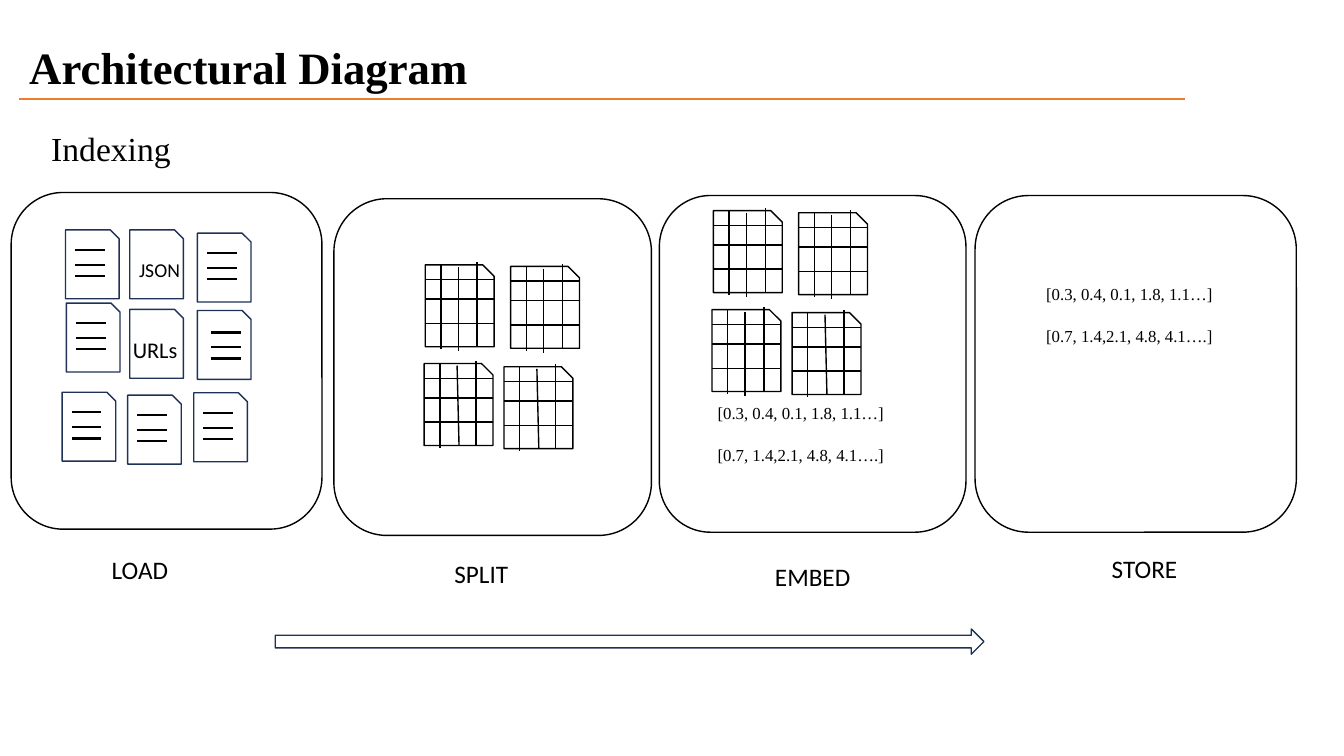
from dataclasses import dataclass

from lxml.etree import SubElement
from pptx import Presentation
from pptx.dml.color import RGBColor
from pptx.enum.shapes import MSO_CONNECTOR as Connector, MSO_SHAPE as Preset
from pptx.enum.text import MSO_ANCHOR as Anchor, MSO_AUTO_SIZE as AutoSize, PP_ALIGN as Align
from pptx.oxml.ns import qn
from pptx.slide import Slide
from pptx.text.text import TextFrame
from pptx.util import Pt

COLORS = {"ink": "000000", "paper": "FFFFFF", "navy": "1E3256", "orange": "ED7D31"}
SERIF = "Times New Roman"
SANS = "Calibri"

FILE_SIZE = (38.3, 49.2)
FILE_LINES = (14.4, 25, 33)
GRID_SIZE = (49.2, 58.5)
GRID_ROWS = (10.5, 24.5, 41.8)
GRID_COLUMNS = ((11.2, 0), (23.5, 1.5), (37, -1.8))
COLUMN_LENGTH = 60.2
VECTORS = ["[0.3, 0.4, 0.1, 1.8, 1.1…]", "[0.7, 1.4,2.1, 4.8, 4.1….]"]


@dataclass
class Stage:
    name: str
    left: float
    top: float
    width: float
    label_left: float
    label_top: float


@dataclass
class File:
    left: float
    top: float
    lined: bool = True
    shift_x: float = 0
    shift_y: float = 0


@dataclass
class Grid:
    left: float
    top: float
    lean: float = 0


@dataclass
class Note:
    lines: list[str]
    left: float
    top: float
    width: float
    height: float
    size: float
    font: str = SANS
    align: Align = Align.LEFT
    gap: float = 0


STAGES = [
    Stage("LOAD", 8, 137.5, 222, 72.7, 392.4),
    Stage("SPLIT", 238.5, 142, 226.8, 317.5, 395.3),
    Stage("EMBED", 471, 139.7, 219, 546.5, 397.4),
    Stage("STORE", 696.5, 139.7, 229.5, 787, 391.7),
]
FILES = [
    File(46.8, 164.2), File(92.7, 164.2, lined=False), File(141, 166.5),
    File(47.4, 216.5), File(92.7, 221, lined=False), File(141, 221.8, shift_x=3, shift_y=1.3),
    File(44.4, 280.2), File(91.2, 282.3), File(138.4, 280.6),
]
GRIDS = [
    Grid(303.8, 189.2), Grid(364.8, 190.3), Grid(303, 259.7, 1.4), Grid(360, 262, 1.4),
    Grid(509.6, 150.5), Grid(570.5, 152), Grid(508.6, 221.2), Grid(565.8, 223.3, 1.4),
]
NOTES = [
    Note(["Indexing"], 29.5, 87.6, 480, 35, 24, SERIF),
    Note(["JSON"], 92.2, 180.7, 46, 24.5, 14),
    Note(["URLs"], 87.8, 236.9, 59.8, 26.6, 16),
    Note(VECTORS, 505.5, 284.4, 139, 94.3, 12, SERIF, Align.JUSTIFY, 15.5),
    Note(VECTORS, 740.2, 199.4, 139, 94.3, 12, SERIF, Align.JUSTIFY, 15.5),
]


def color(name: str) -> RGBColor:
    return RGBColor.from_string(COLORS[name])


def write(frame: TextFrame, note: Note, bold: bool = False) -> None:
    frame.word_wrap = True
    frame.auto_size = AutoSize.NONE
    frame.vertical_anchor = Anchor.TOP
    for index, line in enumerate(note.lines):
        para = frame.add_paragraph() if index else frame.paragraphs[0]
        para.alignment = note.align
        para.space_before = Pt(note.gap if index else 0)
        span = para.add_run()
        span.text = line
        span.font.size = Pt(note.size)
        span.font.name = note.font
        span.font.bold = bold
        span.font.color.rgb = color("ink")


def draw_title(page: Slide, note: Note) -> None:
    title = page.shapes.title
    title.left, title.top = Pt(note.left), Pt(note.top)
    title.width, title.height = Pt(note.width), Pt(note.height)
    write(title.text_frame, note, bold=True)


def draw_note(page: Slide, note: Note) -> None:
    box = page.shapes.add_textbox(Pt(note.left), Pt(note.top), Pt(note.width), Pt(note.height))
    write(box.text_frame, note)


def draw_shape(page: Slide, preset: Preset, left: float, top: float,
               width: float, height: float, outline: str) -> None:
    shape = page.shapes.add_shape(preset, Pt(left), Pt(top), Pt(width), Pt(height))
    shape.shadow.inherit = False
    shape.fill.solid()
    shape.fill.fore_color.rgb = color("paper")
    shape.line.color.rgb = color(outline)
    shape.line.width = Pt(1)


def draw_line(page: Slide, x1: float, y1: float, x2: float, y2: float,
              width: float = 1, stroke: str = "ink") -> None:
    line = page.shapes.add_connector(Connector.STRAIGHT, Pt(x1), Pt(y1), Pt(x2), Pt(y2))
    line.line.color.rgb = color(stroke)
    line.line.width = Pt(width)
    SubElement(line._element.spPr, qn("a:effectLst"))


def draw_stage(page: Slide, stage: Stage) -> None:
    draw_shape(page, Preset.ROUNDED_RECTANGLE, stage.left, stage.top, stage.width, 240.5, "ink")
    draw_note(page, Note([stage.name], stage.label_left, stage.label_top, 72, 29, 18))


def draw_file(page: Slide, file: File) -> None:
    draw_shape(page, Preset.SNIP_1_RECTANGLE, file.left, file.top, *FILE_SIZE, "navy")
    if file.lined:
        x = file.left + 6.9 + file.shift_x
        for offset in FILE_LINES:
            y = file.top + offset + file.shift_y
            draw_line(page, x, y, x + 21.2, y, 1.5)


def draw_grid(page: Slide, grid: Grid) -> None:
    width, height = GRID_SIZE
    draw_shape(page, Preset.SNIP_1_RECTANGLE, grid.left, grid.top, width, height, "ink")
    for offset in GRID_ROWS:
        y = grid.top + offset
        draw_line(page, grid.left, y, grid.left + width, y)
    for index, (offset, rise) in enumerate(GRID_COLUMNS):
        x, y = grid.left + offset, grid.top + rise
        leaning = index == 1 and grid.lean > 0
        end_x = x + grid.lean if leaning else x
        end_y = grid.top + height if leaning else y + COLUMN_LENGTH
        draw_line(page, x, y, end_x, end_y)


def main() -> None:
    deck = Presentation()
    deck.slide_width, deck.slide_height = Pt(960), Pt(540)
    page = deck.slides.add_slide(deck.slide_layouts[5])
    draw_title(page, Note(["Architectural Diagram"], 13.7, 24.5, 480, 46, 32, SERIF))
    draw_line(page, 13.7, 70.6, 846.7, 70.6, 1, "orange")
    for stage in STAGES:
        draw_stage(page, stage)
    draw_shape(page, Preset.RIGHT_ARROW, 196.6, 449.3, 506.2, 18, "navy")
    for file in FILES:
        draw_file(page, file)
    for grid in GRIDS:
        draw_grid(page, grid)
    for note in NOTES:
        draw_note(page, note)
    deck.save("out.pptx")


if __name__ == "__main__":
    main()
